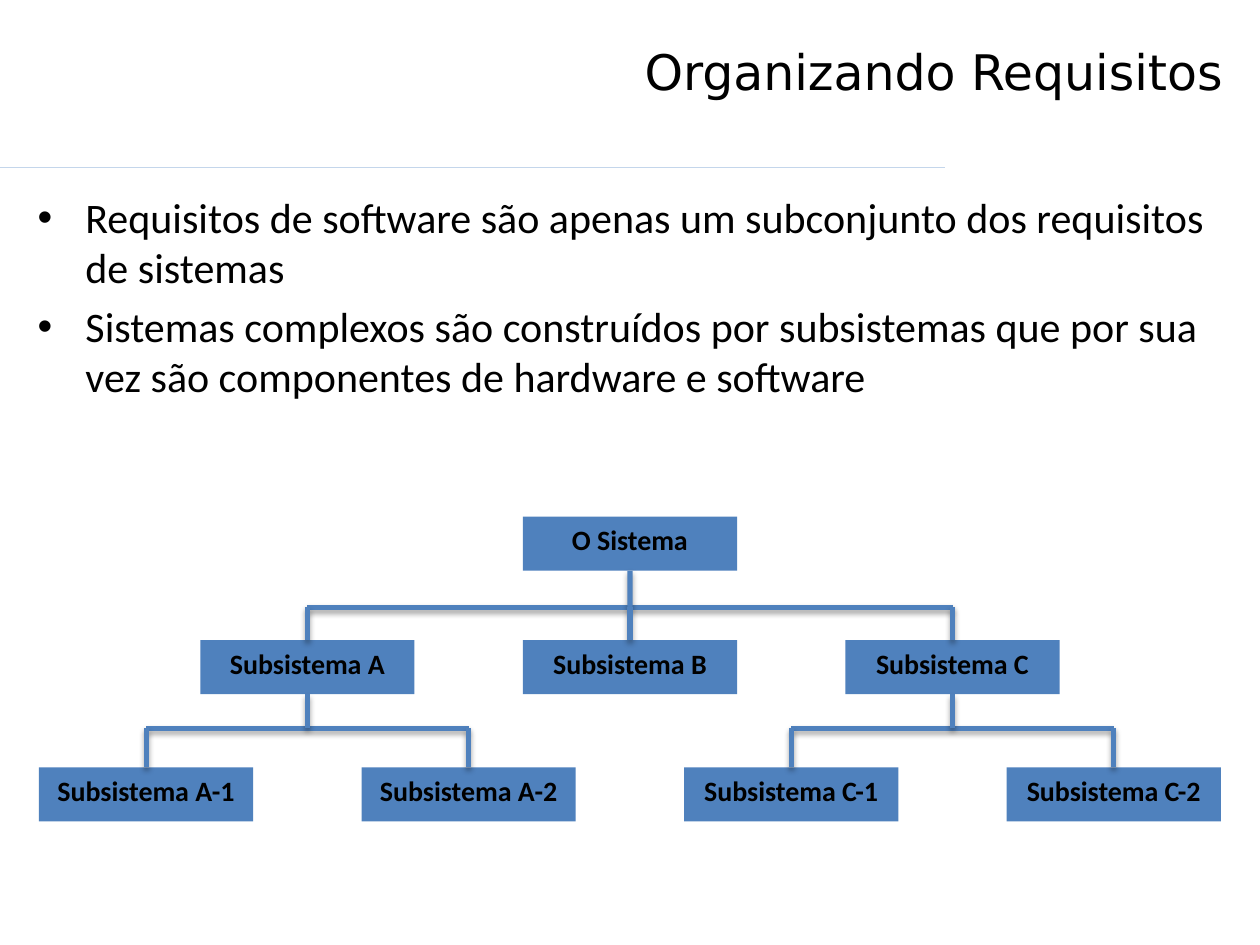
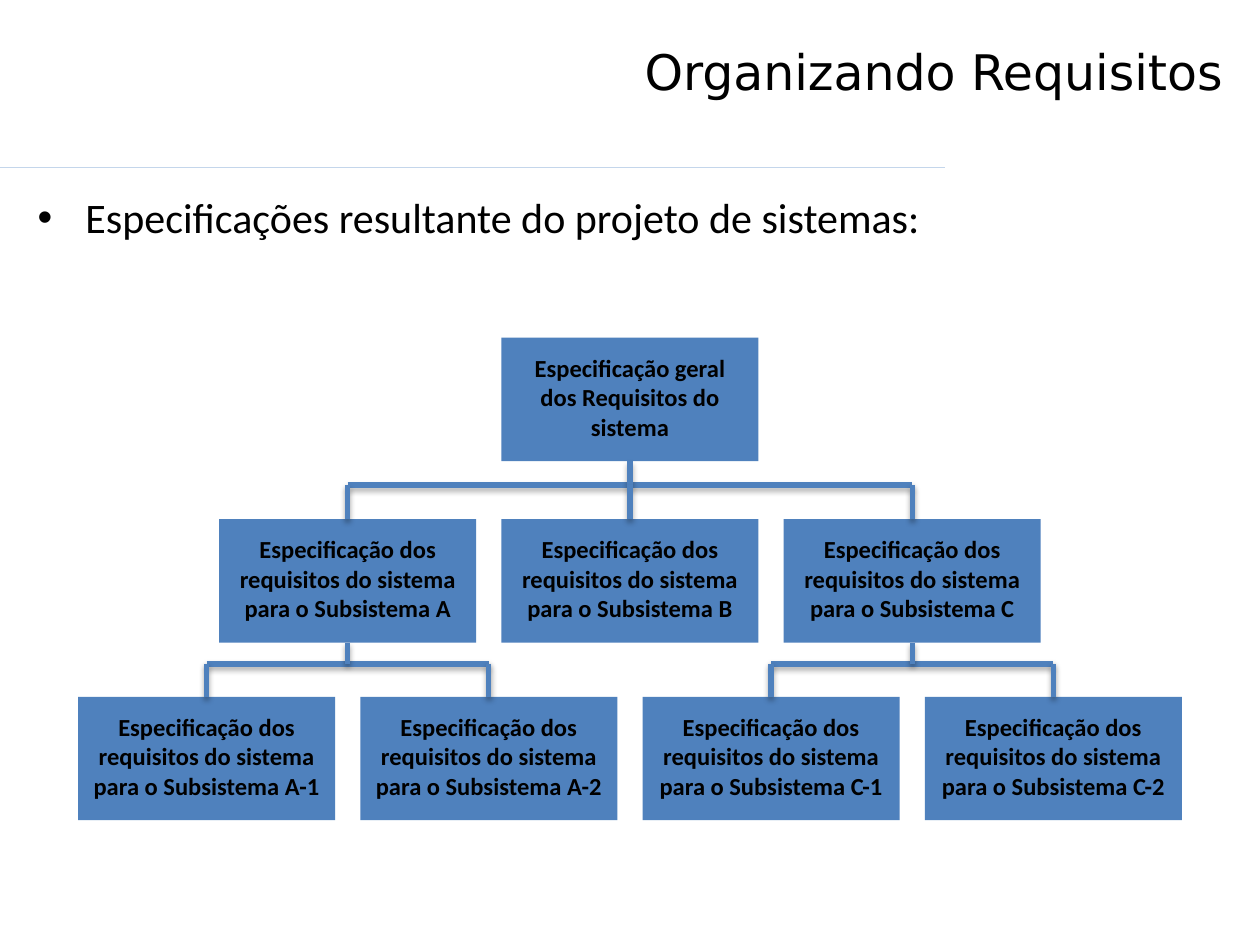
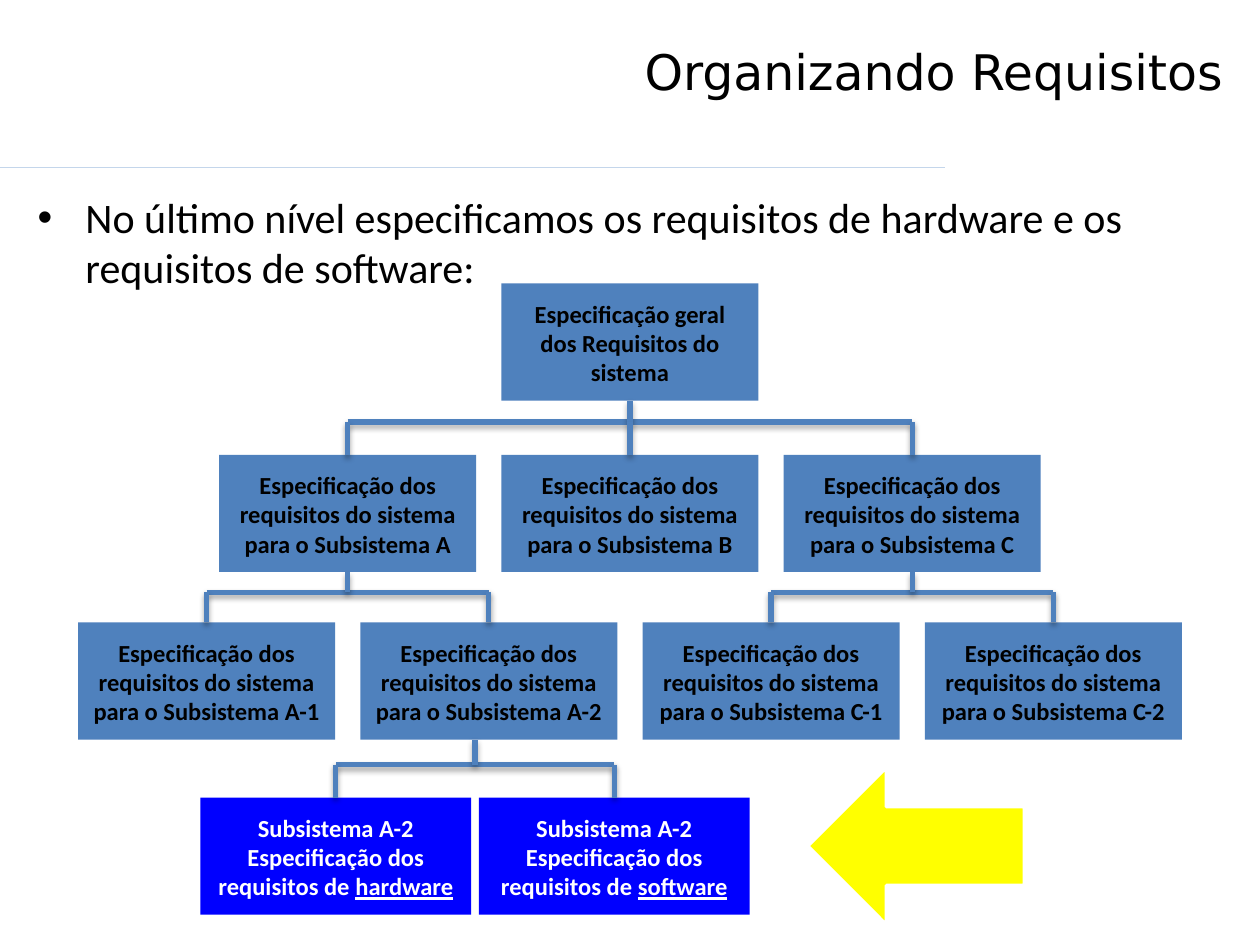
from dataclasses import dataclass

from lxml.etree import SubElement
from pptx import Presentation
from pptx.dml.color import RGBColor
from pptx.enum.shapes import MSO_CONNECTOR, MSO_SHAPE
from pptx.enum.text import MSO_ANCHOR, PP_ALIGN
from pptx.oxml.ns import qn
from pptx.util import Inches, Pt

BLACK = RGBColor(0x00, 0x00, 0x00)
WHITE = RGBColor(0xFF, 0xFF, 0xFF)
STEEL = RGBColor(0x4F, 0x81, 0xBD)
PALE_BLUE = RGBColor(0xC4, 0xD6, 0xEB)
BLUE = RGBColor(0x00, 0x00, 0xFF)
YELLOW = RGBColor(0xFF, 0xFF, 0x00)

TITLE_FONT = {"name": "DejaVu Sans", "size": Pt(28)}
BODY_FONT = {"name": "Calibri", "size": Pt(24)}
NAME_FONT = {"name": "Calibri", "size": Pt(16), "bold": True}
SPEC_FONT = {"name": "Calibri", "size": Pt(14), "bold": True}

TITLE = "Organizando Requisitos"
TITLE_BOX = (0.18, 0.28, 9.62, 1.01)
BODY_BOX = (0.2, 1.47, 9.61, 5.2)
TOP, BOTTOM = 0, 2

SUBSYSTEMS = [["A", "B", "C"], ["A-1", "A-2", "C-1", "C-2"]]
SPEC_LABELS = [["Especificação geral dos Requisitos do sistema"]] + [
    [f"Especificação dos requisitos do sistema para o Subsistema {name}" for name in level]
    for level in SUBSYSTEMS
]
NAME_LABELS = [["O Sistema"]] + [
    [f"Subsistema {name}" for name in level] for level in SUBSYSTEMS
]


@dataclass
class TreeLayout:
    """Sizes of a three-level tree; rows and bars are measured from its top."""

    width: float
    height: float
    pitch: float
    rows: tuple
    bars: tuple
    inset: float
    font: dict


NAME_TREE = TreeLayout(1.7, 0.43, 2.56, (0, 0.98, 1.99), (0.72, 1.68), 0.05, NAME_FONT)
SPEC_TREE = TreeLayout(2.04, 0.98, 2.24, (0, 1.44, 2.85), (1.17, 2.59), 0.12, SPEC_FONT)
DENSE_TREE = TreeLayout(2.04, 0.93, 2.24, (0, 1.36, 2.69), (1.1, 2.45), 0.12, SPEC_FONT)


def apply(target, formats):
    """Set every attribute named in formats on target."""
    for name, value in formats.items():
        setattr(target, name, value)


def write(paragraph, text, font, color=BLACK, **extra):
    """Add a formatted run to paragraph."""
    run = paragraph.add_run()
    run.text = text
    apply(run.font, {**font, **extra})
    run.font.color.rgb = color


def add_text_box(slide, box):
    """Return the wrapping, top-anchored frame of a new text box."""
    frame = slide.shapes.add_textbox(*map(Inches, box)).text_frame
    apply(frame, {"word_wrap": True, "vertical_anchor": MSO_ANCHOR.TOP})
    return frame


def add_header(slide):
    """Add the title and the rule below it."""
    title = add_text_box(slide, TITLE_BOX).paragraphs[0]
    title.alignment = PP_ALIGN.RIGHT
    write(title, TITLE, TITLE_FONT)
    rule = add_line(slide, (0, Inches(1.33)), (Inches(7.5), Inches(1.33)), PALE_BLUE, 0.75)
    SubElement(rule.element.spPr, qn("a:effectLst"))


def add_bullets(slide, items):
    """Add the bulleted body text."""
    frame = add_text_box(slide, BODY_BOX)
    for index, item in enumerate(items):
        paragraph = frame.add_paragraph() if index else frame.paragraphs[0]
        properties = paragraph._p.get_or_add_pPr()
        properties.set("marL", str(Inches(0.38)))
        properties.set("indent", str(-Inches(0.38)))
        SubElement(properties, qn("a:buFont"), typeface="Arial")
        SubElement(properties, qn("a:buChar"), char="•")
        if index:
            paragraph.space_before = Pt(4.8)
        write(paragraph, item, BODY_FONT)


def add_line(slide, start, end, color, weight):
    """Add a straight connector between two points."""
    line = slide.shapes.add_connector(MSO_CONNECTOR.STRAIGHT, *start, *end)
    line.line.color.rgb = color
    line.line.width = Pt(weight)
    return line


def add_branch_line(slide, start, end):
    """Add a thick tree line with a soft shadow below it."""
    line = add_line(slide, start, end, STEEL, 3)
    effects = SubElement(line.element.spPr, qn("a:effectLst"))
    shadow = SubElement(effects, qn("a:outerShdw"), blurRad="40000", dist="23000",
                        dir="5400000", rotWithShape="0")
    shade = SubElement(shadow, qn("a:srgbClr"), val="000000")
    SubElement(shade, qn("a:alpha"), val="35000")
    return line


def add_card(slide, box, inset, fill):
    """Add a filled rectangle whose text starts at the top inset."""
    card = slide.shapes.add_shape(MSO_SHAPE.RECTANGLE, *map(Inches, box))
    card.shadow.inherit = False
    card.fill.solid()
    card.fill.fore_color.rgb = fill
    card.line.fill.background()
    apply(card.text_frame, {"word_wrap": True, "vertical_anchor": MSO_ANCHOR.TOP,
                            "margin_top": Inches(inset)})
    card.text_frame.paragraphs[0].alignment = PP_ALIGN.CENTER
    return card


def center_x(card):
    """Return the horizontal middle of a card."""
    return card.left + card.width // 2


def add_branch(slide, parent, children, bar_y):
    """Join a parent to its children through a bar at bar_y."""
    bar_y = Inches(bar_y)
    first, last = center_x(children[0]), center_x(children[-1])
    trunk_x = (first + last) // 2
    add_branch_line(slide, (first, bar_y), (last, bar_y))
    trunk = add_branch_line(slide, (trunk_x, bar_y), (trunk_x, parent.top + parent.height))
    if abs(trunk_x - center_x(parent)) < Inches(0.01):
        trunk.end_connect(parent, BOTTOM)
    for child in children:
        x = center_x(child)
        drop = add_branch_line(slide, (x, bar_y), (x, child.top))
        drop.end_connect(child, TOP)


def add_tree(slide, left, top, layout, labels):
    """Add the system tree and return its lowest row of cards."""
    levels = []
    for row, texts in zip(layout.rows, labels):
        row_left = left + layout.pitch * (len(labels[-1]) - len(texts)) / 2
        cards = []
        for column, text in enumerate(texts):
            box = (row_left + column * layout.pitch, top + row, layout.width, layout.height)
            card = add_card(slide, box, layout.inset, STEEL)
            write(card.text_frame.paragraphs[0], text, layout.font)
            cards.append(card)
        levels.append(cards)
    (system,), subsystems, parts = levels
    upper_bar, lower_bar = (top + bar for bar in layout.bars)
    add_branch(slide, system, subsystems, upper_bar)
    add_branch(slide, subsystems[0], parts[:2], lower_bar)
    add_branch(slide, subsystems[2], parts[2:], lower_bar)
    return parts


def add_last_level(slide, left, top, parent):
    """Add the hardware and software cards and the arrow beside them."""
    cards = []
    for column, kind in enumerate(("hardware", "software")):
        card = add_card(slide, (left + column * 2.21, top, 2.15, 0.93), 0.12, BLUE)
        heading = card.text_frame.paragraphs[0]
        write(heading, "Subsistema A-2", SPEC_FONT, WHITE)
        detail = card.text_frame.add_paragraph()
        detail.alignment = PP_ALIGN.CENTER
        write(detail, "Especificação dos requisitos de ", SPEC_FONT, WHITE)
        write(detail, kind, SPEC_FONT, WHITE, underline=True)
        cards.append(card)
    add_branch(slide, parent, cards, top - 0.26)

    arrow_box = (left + 4.82, top - 0.24, 1.72, 1.25)
    arrow = slide.shapes.add_shape(MSO_SHAPE.LEFT_ARROW, *map(Inches, arrow_box))
    arrow.shadow.inherit = False
    arrow.fill.solid()
    arrow.fill.fore_color.rgb = YELLOW
    arrow.line.color.rgb = WHITE
    arrow.line.width = Pt(2)


def add_content_slide(deck, bullets):
    """Add a slide with the shared header and its bullets."""
    slide = deck.slides.add_slide(deck.slide_layouts[6])
    add_header(slide)
    add_bullets(slide, bullets)
    return slide


def main():
    """Build and save the three slides."""
    deck = Presentation()
    apply(deck, {"slide_width": Inches(10), "slide_height": Inches(7.5)})

    overview = add_content_slide(deck, [
        "Requisitos de software são apenas um subconjunto dos requisitos de sistemas",
        "Sistemas complexos são construídos por subsistemas que por sua vez são "
        "componentes de hardware e software",
    ])
    add_tree(overview, 0.31, 4.1, NAME_TREE, NAME_LABELS)

    specifications = add_content_slide(
        deck, ["Especificações resultante do projeto de sistemas:"])
    add_tree(specifications, 0.62, 2.68, SPEC_TREE, SPEC_LABELS)

    last_level = add_content_slide(deck, [
        "No último nível especificamos os requisitos de hardware e os "
        "requisitos de software:",
    ])
    parts = add_tree(last_level, 0.62, 2.25, DENSE_TREE, SPEC_LABELS)
    add_last_level(last_level, 1.59, 6.33, parts[1])

    deck.save("out.pptx")


if __name__ == "__main__":
    main()
